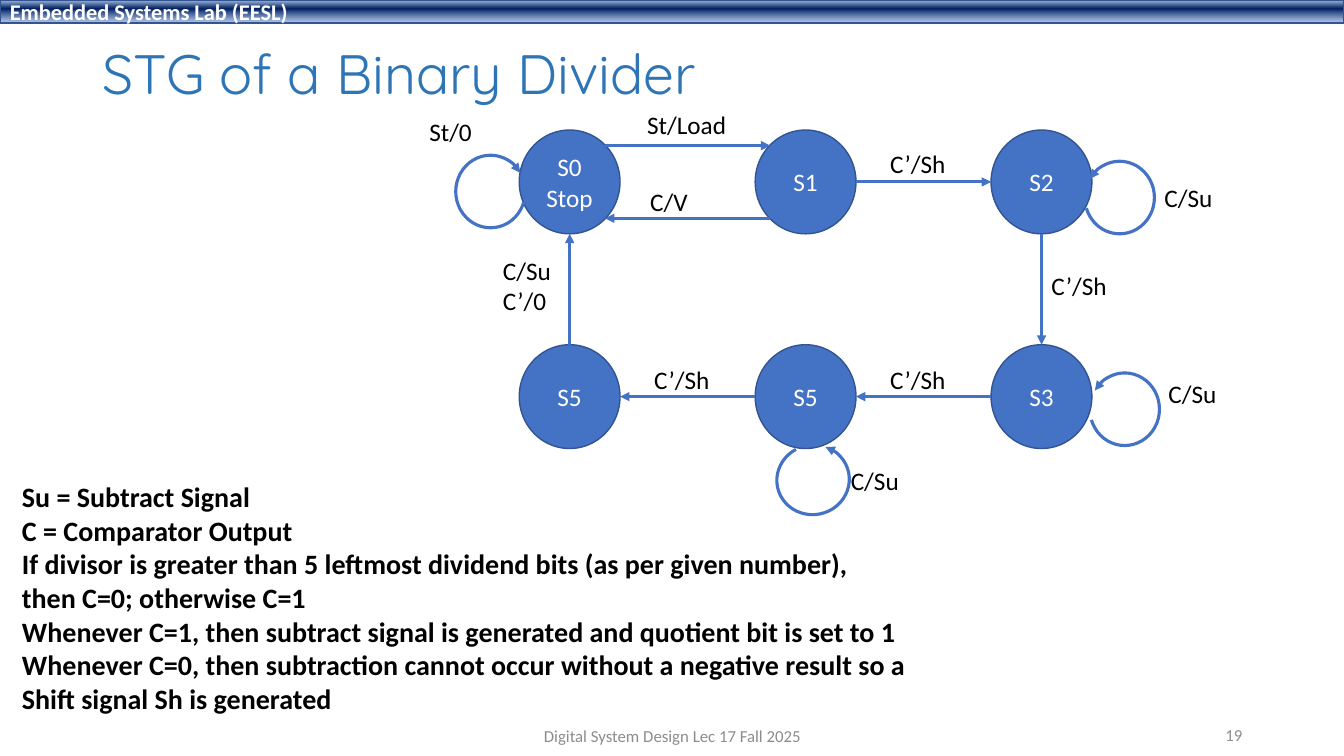
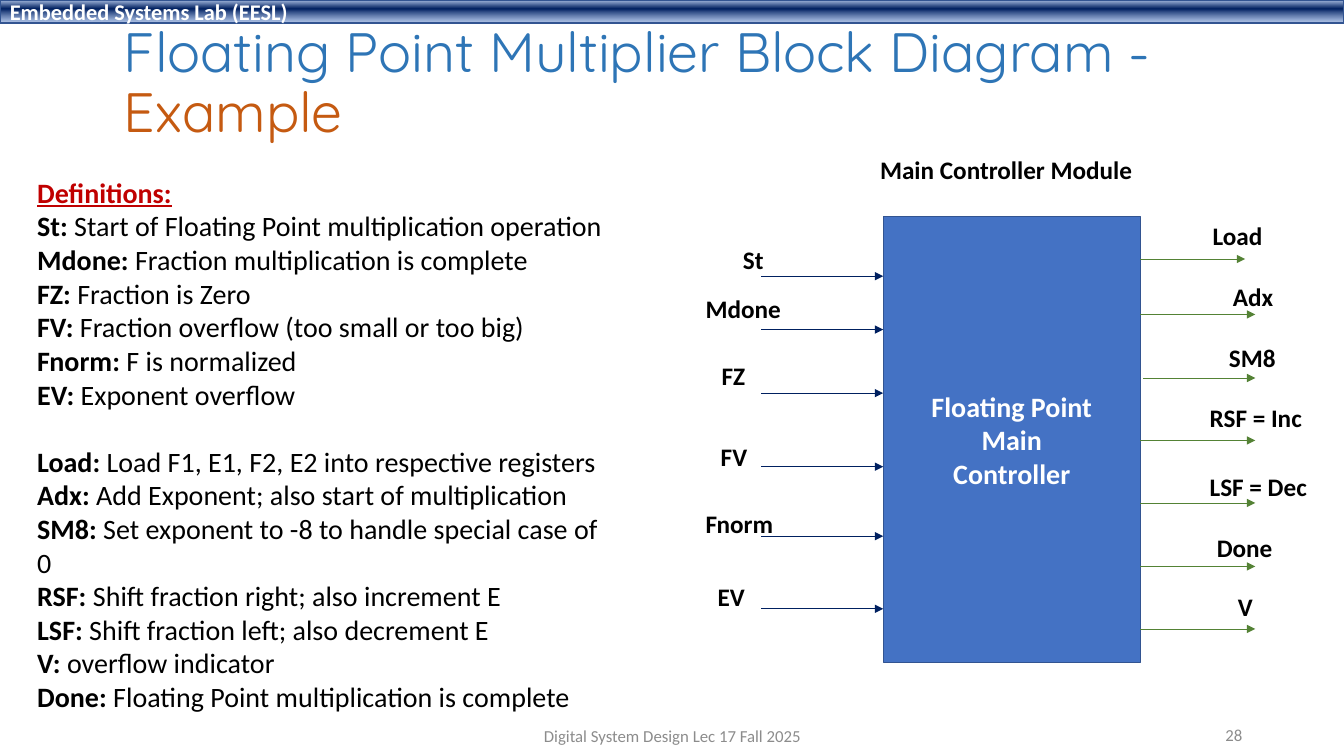
from lxml.etree import SubElement
from pptx import Presentation
from pptx.dml.color import RGBColor
from pptx.enum.shapes import MSO_CONNECTOR, MSO_SHAPE
from pptx.enum.text import MSO_ANCHOR, PP_ALIGN
from pptx.oxml.ns import qn
from pptx.util import Inches, Pt

# Shared look
WIDTH, HEIGHT = 13.33, 7.5
BLUE, EDGE, NAVY, GREEN = "4472C4", "325491", "002060", "548235"
BLACK, WHITE, GREY, RED = "000000", "FFFFFF", "8C8C8C", "C00000"
TITLE_BLUE, TITLE_ORANGE = "2E75B6", "C55A11"
BAND_STOPS = [(2, "ABC0E4", 100), (38, NAVY, 100), (93, "7E9ED6", 64)]

TITLE = {"size": Pt(39.6), "name": "Quicksand", "color": TITLE_BLUE}
LABEL = {"size": Pt(18), "name": "Calibri", "color": BLACK}
BOLD_LABEL = {**LABEL, "bold": True}
BODY = {**LABEL, "size": Pt(20)}
STATE = {**LABEL, "color": WHITE}
BLOCK = {**BODY, "color": WHITE, "bold": True}
BAND = {**BLOCK, "size": Pt(16)}
FOOTER = {**LABEL, "size": Pt(12), "color": GREY}


def rgb(value):
    return RGBColor.from_string(value)


def format_font(font, style):
    for name, value in style.items():
        if name == "color":
            font.color.rgb = rgb(value)
        else:
            setattr(font, name, value)


def write(frame, paragraphs, style, align=PP_ALIGN.LEFT,
          anchor=MSO_ANCHOR.TOP, wrap=True, spacing=None):
    """Each paragraph is a string or a list of (text, style changes)."""
    frame.word_wrap = wrap
    frame.vertical_anchor = anchor
    for index, content in enumerate(paragraphs):
        line = frame.add_paragraph() if index else frame.paragraphs[0]
        line.alignment = align
        if spacing:
            line.line_spacing = spacing
        runs = [(content, {})] if isinstance(content, str) else content
        for text, changes in runs:
            run = line.add_run()
            run.text = text
            format_font(run.font, {**style, **changes})


def add_text(slide, box, paragraphs, style, **layout):
    frame = slide.shapes.add_textbox(*map(Inches, box)).text_frame
    write(frame, paragraphs, style, **layout)
    return frame


def add_label(slide, left, top, width, text, style=LABEL):
    lines = text.split("\n")
    add_text(slide, (left, top, width, 0.1 + 0.3 * len(lines)), lines, style, wrap=False)


def add_filled(slide, kind, box, paragraphs, style, align=PP_ALIGN.CENTER):
    shape = slide.shapes.add_shape(kind, *map(Inches, box))
    shape.shadow.inherit = False
    shape.fill.solid()
    shape.fill.fore_color.rgb = rgb(BLUE)
    shape.line.color.rgb = rgb(EDGE)
    shape.line.width = Pt(1)
    write(shape.text_frame, paragraphs, style, align=align, anchor=MSO_ANCHOR.MIDDLE)
    return shape


def style_arrow(line, color, width):
    line.color.rgb = rgb(color)
    line.width = Pt(width)
    SubElement(line._get_or_add_ln(), qn("a:tailEnd"), type="triangle")


def add_arrow(slide, start, end, color, width):
    arrow = slide.shapes.add_connector(
        MSO_CONNECTOR.STRAIGHT, *map(Inches, (*start, *end)))
    style_arrow(arrow.line, color, width)
    SubElement(arrow._element.spPr, qn("a:effectLst"))


def add_band(slide):
    band = add_filled(slide, MSO_SHAPE.RECTANGLE, (0, 0, WIDTH, 0.23),
                      ["Embedded Systems Lab (EESL)"], BAND, PP_ALIGN.LEFT)
    band.fill.gradient()
    gradient = band._element.spPr.find(qn("a:gradFill"))
    for child in list(gradient):
        gradient.remove(child)
    stops = SubElement(gradient, qn("a:gsLst"))
    for position, color, opacity in BAND_STOPS:
        stop = SubElement(stops, qn("a:gs"), pos=str(position * 1000))
        tint = SubElement(stop, qn("a:srgbClr"), val=color)
        if opacity < 100:
            SubElement(tint, qn("a:alpha"), val=str(opacity * 1000))
    SubElement(gradient, qn("a:lin"), ang="5400000", scaled="0")


def add_base(deck, number, title_box, title):
    """Blank slide with band, title, page number and footer."""
    slide = deck.slides.add_slide(deck.slide_layouts[6])
    add_band(slide)
    middle = MSO_ANCHOR.MIDDLE
    add_text(slide, title_box, [title], TITLE, anchor=middle, spacing=0.9)
    add_text(slide, (9.42, 7.09, 3, 0.4), [number], FOOTER,
             align=PP_ALIGN.RIGHT, anchor=middle)
    add_text(slide, (4.42, 7.1, 4.5, 0.4), ["Digital System Design Lec 17 Fall 2025"],
             FOOTER, align=PP_ALIGN.CENTER, anchor=middle)
    return slide


# State graph: states as column, row, text
STATES = {
    "stop": (0, 0, "S0\nStop"), "first": (1, 0, "S1"), "second": (2, 0, "S2"),
    "third": (2, 1, "S3"), "fourth": (1, 1, "S5"), "fifth": (0, 1, "S5"),
}
NODE_W, NODE_H, STEP_X, STEP_Y = 1, 1.03, 2.34, 2.13
# Points on a state, as shares of its width and height
SITES = {"top": (0.5, 0), "bottom": (0.5, 1), "left": (0, 0.5), "right": (1, 0.5),
         "top left": (0.15, 0.15), "top right": (0.85, 0.15),
         "bottom left": (0.15, 0.85), "bottom right": (0.85, 0.85)}
# From, to, then label offset, label width and label text
TRANSITIONS = [
    ("stop", "top right", "first", "top left", 1.17, -0.25, 0.99, "St/Load"),
    ("first", "bottom left", "stop", "bottom right", 1.2, 0.51, 0.58, "C/V"),
    ("first", "right", "second", "left", 3.58, 0.13, 0.76, "C’/Sh"),
    ("second", "bottom", "third", "top", 5.18, 1.34, 0.76, "C’/Sh"),
    ("third", "left", "fourth", "right", 3.58, 2.28, 0.76, "C’/Sh"),
    ("fourth", "left", "fifth", "right", 1.24, 2.28, 0.76, "C’/Sh"),
    ("fifth", "top", "stop", "bottom", -0.26, 1.19, 0.68, "C/Su\nC’/0"),
]
# Loop offset, mirrored, rotation, then label offset, width and text
LOOPS = [
    (-0.63, 0.25, False, 0, -0.99, -0.18, 0.63, "St/0"),
    (5.61, 0.31, True, 0, 6.3, 0.47, 0.68, "C/Su"),
    (5.66, 2.41, True, 0, 6.34, 2.41, 0.68, "C/Su"),
    (2.57, 3.11, True, 78.4, 3.19, 3.28, 0.68, "C/Su"),
]


def add_loop(slide, left, top, mirrored, rotation):
    loop = slide.shapes.add_shape(
        MSO_SHAPE.ARC, *map(Inches, (left, top, 0.69, 0.72)))
    loop.shadow.inherit = False
    loop.fill.background()
    loop.adjustments[0], loop.adjustments[1] = 10.69, 196.74
    loop.rotation = rotation
    if mirrored:
        loop._element.spPr.find(qn("a:xfrm")).set("flipH", "1")
    style_arrow(loop.line, BLUE, 2.25)


def add_state_graph(slide, left, top):
    def site(state, place):
        column, row, _ = STATES[state]
        across, down = SITES[place]
        return (left + column * STEP_X + across * NODE_W,
                top + row * STEP_Y + down * NODE_H)

    for column, row, text in STATES.values():
        box = (left + column * STEP_X, top + row * STEP_Y, NODE_W, NODE_H)
        add_filled(slide, MSO_SHAPE.OVAL, box, text.split("\n"), STATE)
    for source, exit_site, target, entry_site, x, y, width, text in TRANSITIONS:
        add_arrow(slide, site(source, exit_site), site(target, entry_site), BLUE, 2.25)
        add_label(slide, left + x, top + y, width, text)
    for loop_x, loop_y, mirrored, rotation, x, y, width, text in LOOPS:
        add_loop(slide, left + loop_x, top + loop_y, mirrored, rotation)
        add_label(slide, left + x, top + y, width, text)


SIGNAL_NOTES = [
    "Su = Subtract Signal",
    "C = Comparator Output",
    "If divisor is greater than 5 leftmost dividend bits (as per given number),",
    "then C=0; otherwise C=1",
    "Whenever C=1, then subtract signal is generated and quotient bit is set to 1",
    "Whenever C=0, then subtraction cannot occur without a negative result so a",
    "Shift signal Sh is generated",
]


def build_divider(deck):
    slide = add_base(deck, "19", (0.92, 0.4, 11.5, 0.72),
                     [("STG of a Binary Divider", {})])
    add_state_graph(slide, 5.15, 1.29)
    add_text(slide, (0.12, 4.71, 9.04, 2.46), SIGNAL_NOTES,
             {**BODY, "bold": True}, wrap=False)


# Controller signals: wire height, label x from the block edge, label y, width, text
INPUTS = [
    (0.59, -1.49, 0.22, 0.41, "St"), (1.12, -1.86, 0.71, 0.95, "Mdone"),
    (1.75, -1.7, 1.38, 0.43, "FZ"), (2.48, -1.71, 2.18, 0.47, "FV"),
    (3.17, -1.86, 2.84, 0.88, "Fnorm"), (3.89, -1.74, 3.57, 0.47, "EV"),
]
OUTPUTS = [
    (0.42, 0.62, -0.01, 0.7, "Load"), (0.97, 0.82, 0.59, 0.61, "Adx"),
    (1.6, 0.78, 1.2, 0.67, "SM8"), (2.22, 0.59, 1.79, 1.13, "RSF = Inc"),
    (2.84, 0.59, 2.48, 1.17, "LSF = Dec"), (3.47, 0.66, 3.08, 0.75, "Done"),
    (4.09, 0.87, 3.67, 0.35, "V"),
]
WIRE_STARTS = {"SM8": 0.03}
WIRE_ENDS = {"Load": 1.04}
DEFINITIONS = [
    ("St:", "Start of Floating Point multiplication operation"),
    ("Mdone:", "Fraction multiplication is complete"),
    ("FZ:", "Fraction is Zero"),
    ("FV:", "Fraction overflow (too small or too big)"),
    ("Fnorm:", "F is normalized"),
    ("EV:", "Exponent overflow"),
    ("Load:", "Load F1, E1, F2, E2 into respective registers"),
    ("Adx:", "Add Exponent; also start of multiplication"),
    ("SM8:", "Set exponent to -8 to handle special case of 0"),
    ("RSF:", "Shift fraction right; also increment E"),
    ("LSF:", "Shift fraction left; also decrement E"),
    ("V:", "overflow indicator"),
    ("Done:", "Floating Point multiplication is complete"),
]


def add_controller(slide, left, top, width, height):
    right = left + width
    add_label(slide, left - 0.13, top - 0.67, 2.72, "Main Controller Module", BOLD_LABEL)
    add_filled(slide, MSO_SHAPE.RECTANGLE, (left, top, width, height),
               ["Floating Point", "Main", "Controller"], BLOCK)
    for wire, x, y, label_width, text in INPUTS:
        add_arrow(slide, (left - 1.21, top + wire), (left, top + wire), NAVY, 0.5)
        add_label(slide, left + x, top + y, label_width, text, BOLD_LABEL)
    for wire, x, y, label_width, text in OUTPUTS:
        start = right + WIRE_STARTS.get(text, 0)
        end = right + WIRE_ENDS.get(text, 1.14)
        add_arrow(slide, (start, top + wire), (end, top + wire), GREEN, 0.5)
        add_label(slide, right + x, top + y, label_width, text, BOLD_LABEL)


def add_definitions(slide, box):
    heading = [("Definitions:", {"color": RED, "bold": True, "underline": True})]
    entries = [[(term + " ", {"bold": True}), (meaning, {})]
               for term, meaning in DEFINITIONS]
    frame = add_text(slide, box, [heading, *entries], BODY)
    # The outputs start one line lower
    frame.paragraphs[1 + len(INPUTS)].space_before = Pt(24)


def build_multiplier(deck):
    slide = add_base(deck, "28", (1.13, 0.26, 11.64, 1.15),
                     [("Floating Point Multiplier Block Diagram - ", {}),
                      ("Example", {"color": TITLE_ORANGE})])
    add_controller(slide, 8.76, 2.15, 2.55, 4.42)
    add_definitions(slide, (0.27, 1.69, 5.85, 5.49))


def main():
    deck = Presentation()
    deck.slide_width, deck.slide_height = Inches(WIDTH), Inches(HEIGHT)
    build_divider(deck)
    build_multiplier(deck)
    deck.save("out.pptx")


if __name__ == "__main__":
    main()
